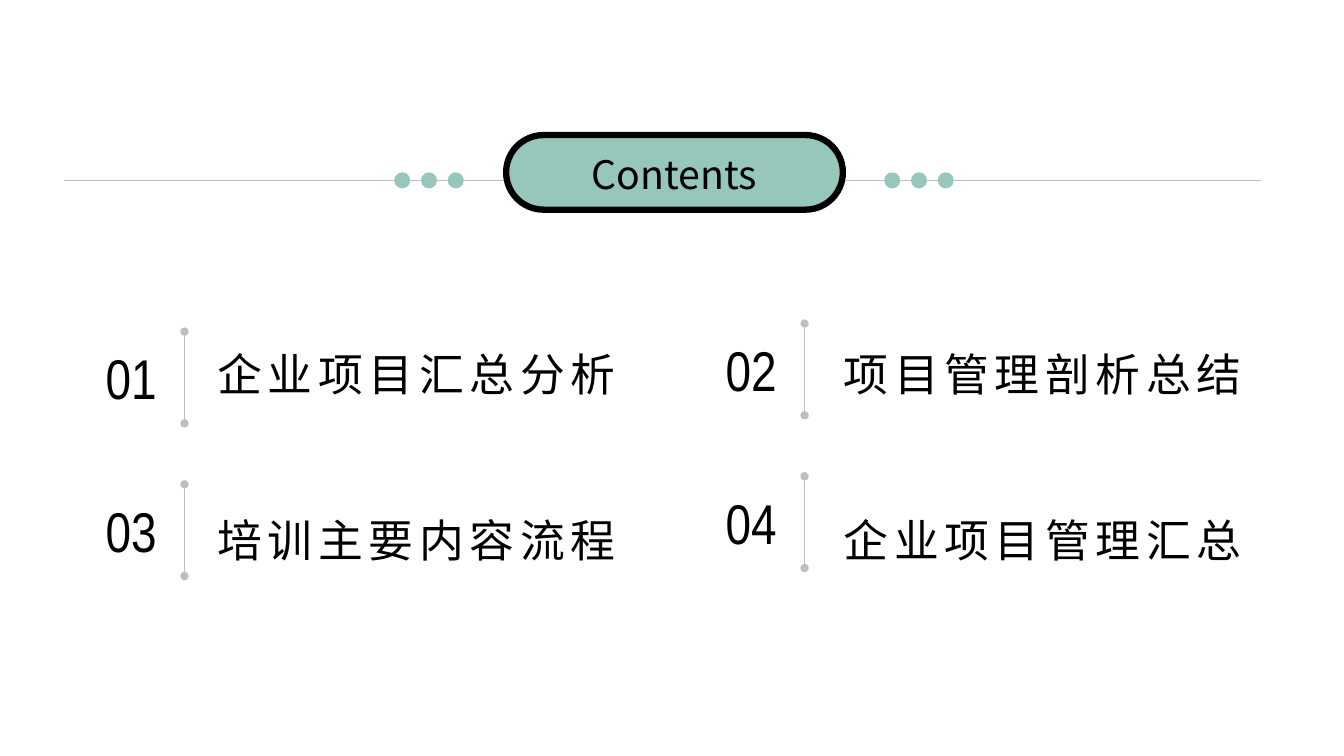
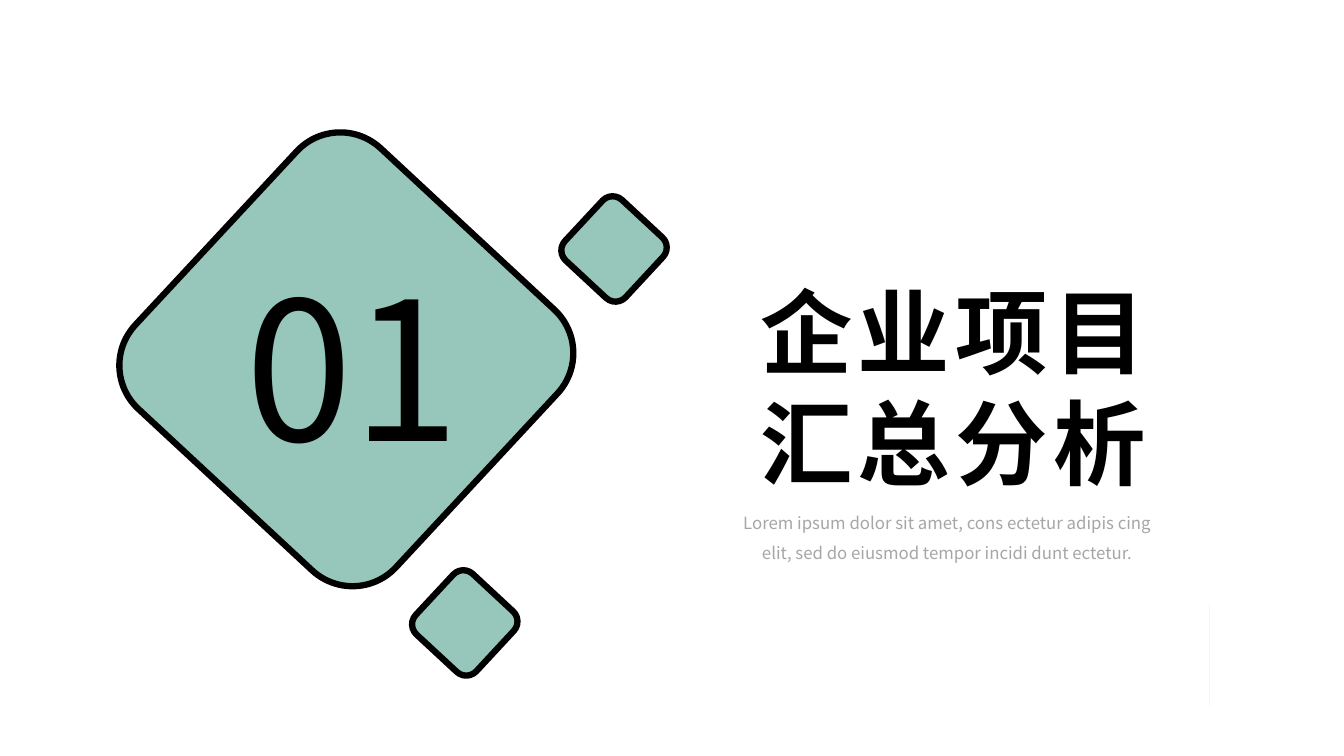
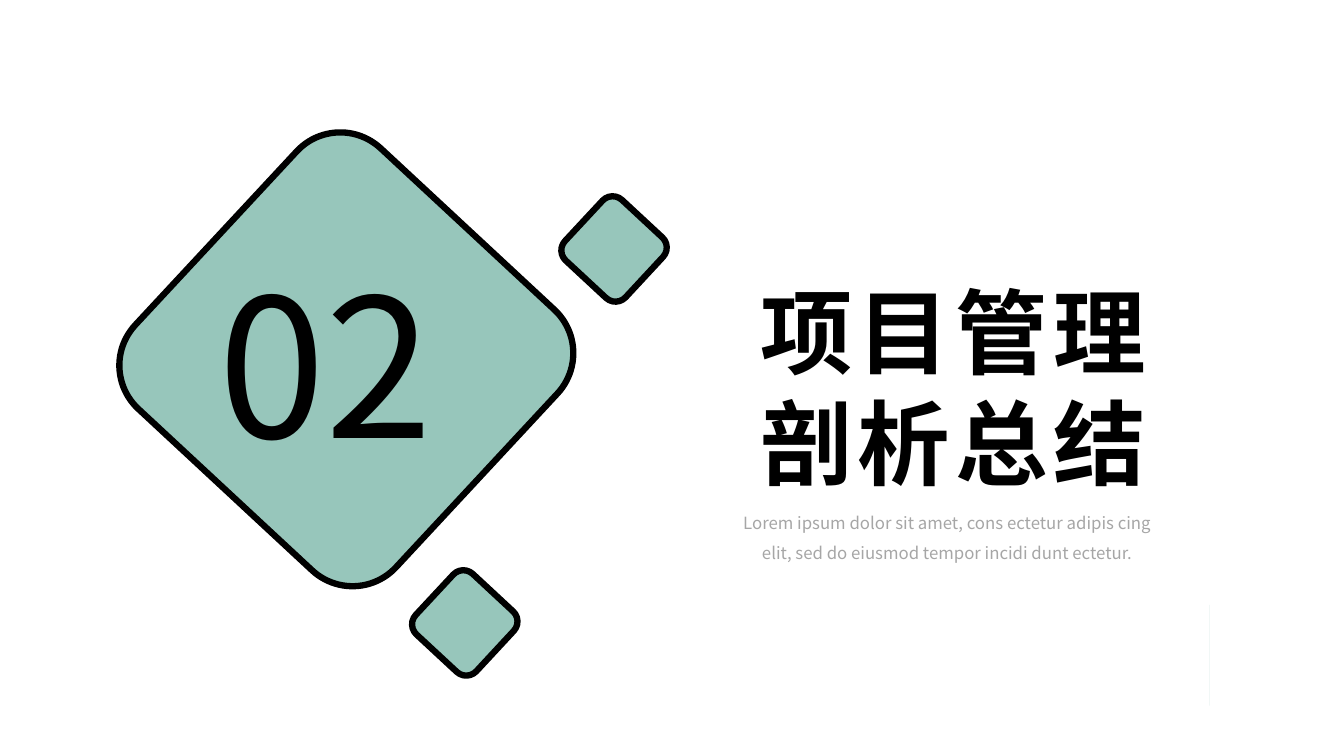
from dataclasses import dataclass

from lxml import etree
from pptx import Presentation
from pptx import util as u
from pptx.dml.color import RGBColor
from pptx.enum import shapes, text
from pptx.oxml.ns import qn


@dataclass(frozen=True)
class Theme:
    """Colours, fonts and type sizes shared by every slide."""
    accent: str = "97C6BB"
    ink: str = "000000"
    muted: str = "A6A6A6"
    rule: str = "BFBFBF"
    sans: str = "Noto Sans CJK JP"
    numeral: str = "Noto Sans CJK SC"
    narrow: str = "Arial Narrow"
    heading: int = 28
    entry: int = 32
    index: int = 40
    title: int = 66
    body: int = 12
    giant: int = 138
    outline: float = 4.5
    leading: float = 1.2
    drop: float = 0.09


T = Theme()
W, H = 13.33, 7.5
PAGE = (0, 0, W, H)
LEFT, CENTER, JUSTIFY = text.PP_ALIGN.LEFT, text.PP_ALIGN.CENTER, text.PP_ALIGN.JUSTIFY
BLURB = ("Lorem ipsum dolor sit amet, cons ectetur adipis cing elit, "
         "sed do eiusmod tempor incidi dunt ectetur.")
ENTRIES = ["企业项目汇总分析", "项目管理剖析总结", "培训主要内容流程", "企业项目管理汇总"]


def rgb(color):
    """Turn a hex string into a colour."""
    return RGBColor.from_string(color)


def inches(*values):
    """Turn numbers into inch lengths."""
    return [u.Inches(v) for v in values]


def write(sp, content, size, font=T.sans, color=T.ink, align=LEFT, bold=False,
          spacing=0, leading=T.leading, middle=False, wrap=True):
    """Fill a shape with text in one style."""
    tf = sp.text_frame
    tf.text = content
    tf.word_wrap = wrap
    tf.vertical_anchor = text.MSO_ANCHOR.MIDDLE if middle else text.MSO_ANCHOR.TOP
    if leading:
        tf.margin_top = u.Inches((0 if middle else 0.05) + T.drop * size / 72)
        tf.margin_bottom = 0
    for p in tf.paragraphs:
        p.alignment = align
        if leading:
            p.line_spacing = u.Pt(round(leading * size, 1))
        for r in p.runs:
            r.font.size = u.Pt(size)
            r.font.bold = bold
            r.font.color.rgb = rgb(color)
            r.font.name = font
            props = r.font._element
            etree.SubElement(props, qn("a:ea")).set("typeface", font)
            if spacing:
                props.set("spc", str(spacing * 100))


def label(s, box, content, size, **style):
    """Add a text box."""
    write(s.shapes.add_textbox(*inches(*box)), content, size, **style)


def paint(sp, outline=0):
    """Give a shape the accent fill and an optional dark outline."""
    sp.shadow.inherit = False
    sp.fill.solid()
    sp.fill.fore_color.rgb = rgb(T.accent)
    if outline:
        sp.line.color.rgb = rgb(T.ink)
        sp.line.width = u.Pt(outline)
    else:
        sp.line.fill.background()


def block(s, kind, box, outline=0):
    """Add a painted preset shape."""
    sp = s.shapes.add_shape(kind, *inches(*box))
    paint(sp, outline)
    return sp


def rule(s, x1, y1, x2, y2, width, dotted_ends=False):
    """Draw a thin grey line, with round ends if asked."""
    line = s.shapes.add_connector(shapes.MSO_CONNECTOR.STRAIGHT, *inches(x1, y1, x2, y2))
    line.line.color.rgb = rgb(T.rule)
    line.line.width = u.Pt(width)
    if dotted_ends:
        for end in ("a:headEnd", "a:tailEnd"):
            etree.SubElement(line.line._ln, qn(end)).set("type", "oval")
    etree.SubElement(line._element.spPr, qn("a:effectLst"))


def heading_band(s, box):
    """Place the ruled heading pill with three dots on either side."""
    x, y, w, h = box
    rule(s, x, y + 0.45, x + w, y + 0.45, 0.25)
    pill = block(s, shapes.MSO_SHAPE.ROUNDED_RECTANGLE, (x + 4.39, y, 3.34, h), T.outline)
    pill.adjustments[0] = 0.5
    write(pill, "Contents", T.heading, align=CENTER, middle=True)
    for start in (3.28, 8.14):
        for i in range(3):
            block(s, shapes.MSO_SHAPE.OVAL, (x + start + i * 0.265, y + 0.37, 0.16, 0.16))


def entry_grid(s, box, entries):
    """Place numbered entries in two columns."""
    x, y, w, h = box
    for i, entry in enumerate(entries):
        row, col = divmod(i, 2)
        left = x + col * w / 2
        top = y + row * h / 2 - col * 0.08
        label(s, (left, top, 0.82, 0.91), f"{i + 1:02}", T.index, font=T.narrow,
              align=CENTER, leading=None, middle=True)
        rule(s, left + 0.94, top, left + 0.94, top + 0.91, 1, dotted_ends=True)
        label(s, (x + 1.17 + col * 6.21, y + 0.06 + row * 1.65, 4.24, 0.64), entry,
              T.entry, spacing=4, wrap=False)


def diamonds(s, box):
    """Place one large and two small tilted squares."""
    x, y, w, h = box
    for dx, dy, side in ((0, 0, 3.53), (4.01, 0.26, 0.82), (2.53, 3.97, 0.82)):
        sp = block(s, shapes.MSO_SHAPE.ROUNDED_RECTANGLE, (x + dx, y + dy, side, side), T.outline)
        sp.rotation = 42.9


def double_chevron(s, box):
    """Draw two soft-ended chevrons pointing right."""
    x, y, w, h = box
    upper = [(0.15, 0.18), (0.01, 0.04), (0, 0.03), (0.01, 0.01), (0.03, 0),
             (0.05, 0.01), (0.2, 0.16), (0.21, 0.18)]
    outline = upper + [(px, h - py) for px, py in reversed(upper)]
    fb = None
    for shift in (w - 0.21, 0):
        pts = [(x + shift + px, y + py) for px, py in outline]
        if fb is None:
            fb = s.shapes.build_freeform(*pts[0], scale=u.Inches(1))
        else:
            fb.move_to(*pts[0])
        fb.add_line_segments(pts[1:], close=True)
    paint(fb.convert_to_shape())


def section_text(s, box, title):
    """Place the section title over its short description."""
    x, y, w, h = box
    label(s, (x + 0.31, y, 4.13, 2.32), title, T.title, bold=True, spacing=4, wrap=False)
    label(s, (x, y + 2.32, w, 0.67), BLURB, T.body, color=T.muted, align=CENTER,
          leading=1.5 * T.leading)


def contents_slide(s, box):
    """Lay out the contents page."""
    x, y, w, h = box
    heading_band(s, (x + 0.63, y + 1.34, 11.88, 0.74))
    entry_grid(s, (x + 0.89, y + 3.29, 12.3, 3.03), ENTRIES)


def section_slide(s, box, number, number_box, align, title):
    """Lay out a section opener."""
    x, y, w, h = box
    diamonds(s, (x + 1.67, y + 1.8, 4.83, 4.79))
    label(s, number_box, number, T.giant, font=T.numeral, align=align)
    section_text(s, (x + 7.13, y + 2.6, 4.53, 2.99), title)
    double_chevron(s, (x + 12.12, y + 6.18, 0.37, 0.37))


def main():
    """Build and save the deck."""
    prs = Presentation()
    prs.slide_width, prs.slide_height = inches(W, H)
    blank = prs.slide_layouts[6]
    contents_slide(prs.slides.add_slide(blank), PAGE)
    for number, number_box, align, title in (
            ("01", (2.07, 2.24, 2.86, 2.42), CENTER, "企业项目\n汇总分析"),
            ("02", (2.07, 2.21, 2.54, 2.42), JUSTIFY, "项目管理\n剖析总结")):
        section_slide(prs.slides.add_slide(blank), PAGE, number, number_box, align, title)
    prs.save("out.pptx")


if __name__ == "__main__":
    main()
